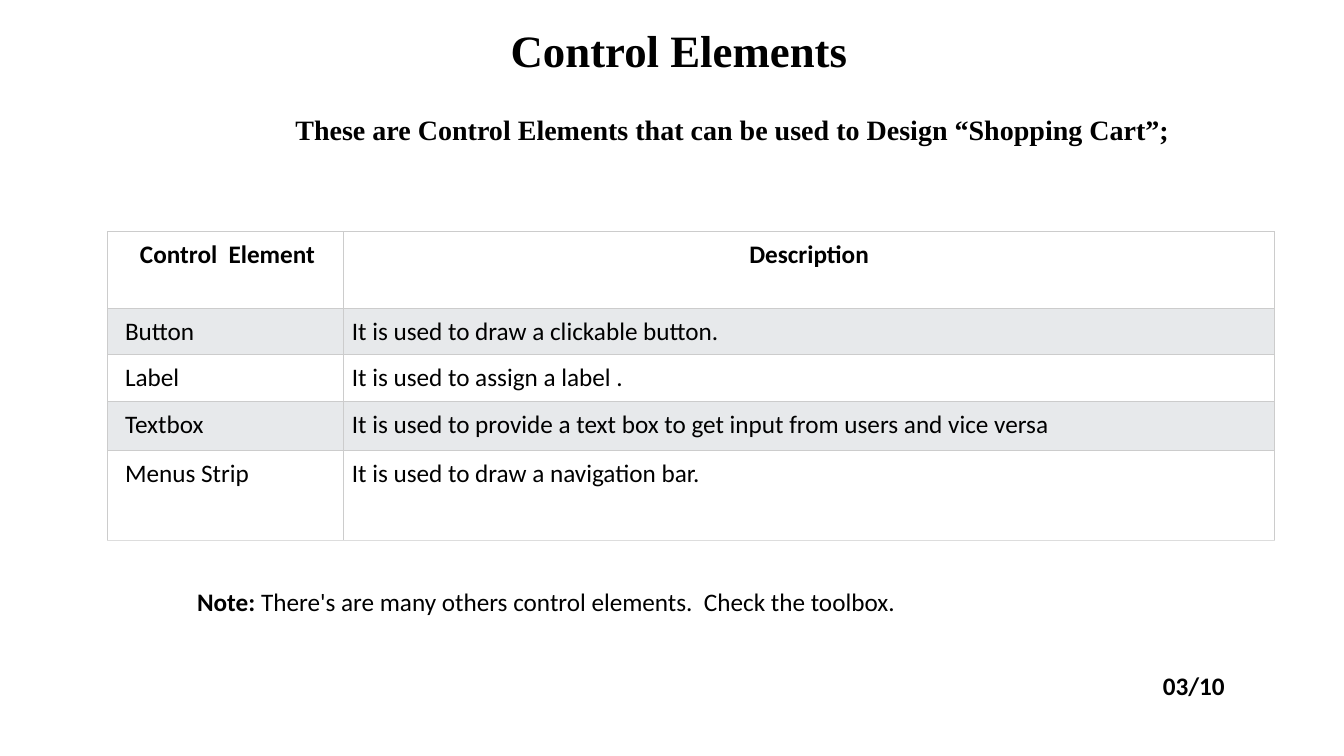
from lxml import etree
from pptx import Presentation
from pptx.dml.color import RGBColor
from pptx.enum.text import MSO_ANCHOR, MSO_AUTO_SIZE, PP_ALIGN
from pptx.oxml.ns import qn
from pptx.util import Pt

PX = 9144  # EMU in one px, 100 px to the inch
LEFT, CENTER = PP_ALIGN.LEFT, PP_ALIGN.CENTER
TOP, MIDDLE = MSO_ANCHOR.TOP, MSO_ANCHOR.MIDDLE
GROW = MSO_AUTO_SIZE.SHAPE_TO_FIT_TEXT
FIXED = MSO_AUTO_SIZE.NONE

COLORS = {
    "ink": "000000",
    "plain": "FFFFFF",
    "band": "E7E9EB",
    "border": "CCCCCC",
    "last_border": "DDDDDD",
}
SERIF, SANS = "Times New Roman", "Calibri"

COLUMN_WIDTHS = [234, 923]
ROW_HEIGHTS = [76, 46, 46, 49, 89]
CONTROLS = [
    ("Control  Element ", "Description"),
    ("Button", "It is used to draw a clickable button."),
    ("Label", "It is used to assign a label ."),
    ("Textbox", "It is used to provide a text box to get input from users and vice versa"),
    ("Menus Strip", "It is used to draw a navigation bar."),
]


def write_text(para, text, *, font=SANS, size=18, bold=False, align=LEFT):
    """Add one formatted span to the paragraph."""
    para.alignment = align
    span = para.add_run()
    span.text = text
    span.font.name = font
    span.font.size = Pt(size)
    span.font.bold = bold
    span.font.color.rgb = RGBColor.from_string(COLORS["ink"])


def set_borders(cell, bottom):
    """Draw the four cell edges; the bottom edge has its own colour."""
    properties = cell._tc.get_or_add_tcPr()
    edges = {"lnL": "border", "lnR": "border", "lnT": "border", "lnB": bottom}
    for position, (edge, color) in enumerate(edges.items()):
        line = etree.Element(qn(f"a:{edge}"), w=str(Pt(0.75)))
        fill = etree.SubElement(line, qn("a:solidFill"))
        etree.SubElement(fill, qn("a:srgbClr"), val=COLORS[color])
        properties.insert(position, line)


class SlideBuilder:
    def __init__(self, slide):
        self.slide = slide

    def background(self, color):
        fill = self.slide.background.fill
        fill.solid()
        fill.fore_color.rgb = RGBColor.from_string(COLORS[color])

    def text_box(self, left, top, width, height, anchor=TOP, auto_size=GROW):
        """Add an empty text box and return its first paragraph."""
        box = self.slide.shapes.add_textbox(left * PX, top * PX, width * PX, height * PX)
        frame = box.text_frame
        frame.word_wrap = True
        frame.auto_size = auto_size
        frame.vertical_anchor = anchor
        return frame.paragraphs[0]

    def table(self, left, top, widths, heights, rows):
        table = self.slide.shapes.add_table(
            len(rows), len(widths), left * PX, top * PX,
            sum(widths) * PX, sum(heights) * PX,
        ).table
        for column, width in zip(table.columns, widths):
            column.width = width * PX
        for row, height in zip(table.rows, heights):
            row.height = height * PX
        for r, texts in enumerate(rows):
            for c, text in enumerate(texts):
                self.table_cell(table.cell(r, c), text,
                                header=r == 0, first=c == 0,
                                fill="band" if r % 2 else "plain",
                                bottom="last_border" if r == len(rows) - 1 else "border")

    def table_cell(self, cell, text, header, first, fill, bottom):
        cell.margin_left = (17 if first else 8) * PX
        cell.margin_top = cell.margin_right = cell.margin_bottom = 8 * PX
        cell.fill.solid()
        cell.fill.fore_color.rgb = RGBColor.from_string(COLORS[fill])
        set_borders(cell, bottom)
        write_text(cell.text_frame.paragraphs[0], text, bold=header,
                   align=CENTER if header else LEFT)


def main():
    deck = Presentation()
    deck.slide_width, deck.slide_height = 1333 * PX, 750 * PX
    page = SlideBuilder(deck.slides.add_slide(deck.slide_layouts[6]))
    page.background("plain")

    title = page.text_box(465, 25, 417, 58, anchor=MIDDLE, auto_size=FIXED)
    title.line_spacing = 0.8
    title.space_after = Pt(6)
    write_text(title, "Control Elements", font=SERIF, size=32, bold=True, align=CENTER)

    page_number = page.text_box(1077, 660, 214, 40)
    write_text(page_number, "03/10", bold=True, align=CENTER)

    subtitle = page.text_box(162, 107, 1129, 44)
    write_text(subtitle, "These are Control Elements that can be used to Design “Shopping Cart”;",
               font=SERIF, size=20, bold=True, align=CENTER)

    page.table(107, 230, COLUMN_WIDTHS, ROW_HEIGHTS, CONTROLS)

    note = page.text_box(180, 577, 855, 40)
    write_text(note, " Note: ", bold=True)
    write_text(note, "There's are many others control elements.  Check the toolbox.")

    deck.save("out.pptx")


if __name__ == "__main__":
    main()
